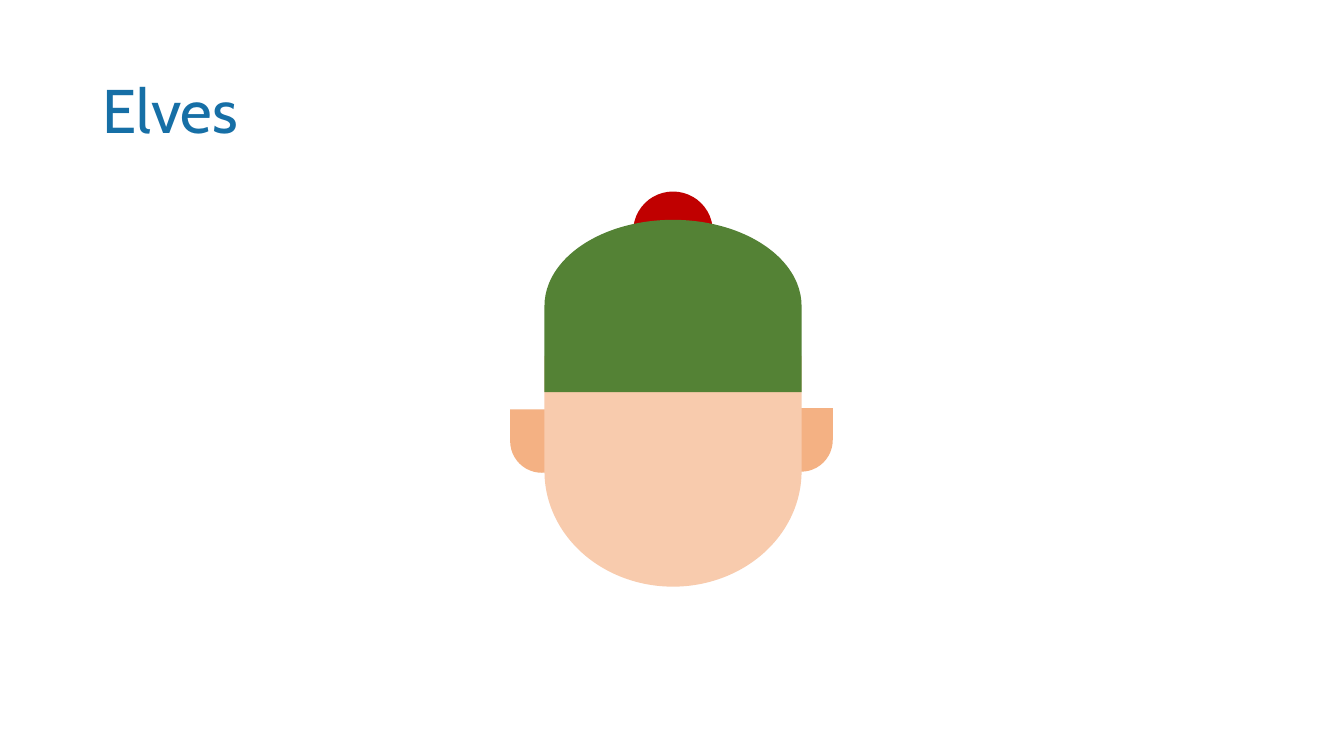
"""Build a slide titled Elves with an elf's head made of preset shapes."""
from dataclasses import dataclass

import pptx
import pptx.dml.color
import pptx.enum.lang
import pptx.enum.shapes
import pptx.enum.text
import pptx.util

Inches = pptx.util.Inches
Preset = pptx.enum.shapes.MSO_SHAPE

EAR_SIZE = 0.63
EAR_COLOR = "F4B183"
HEAD_WIDTH = 2.55


@dataclass(frozen=True)
class HeadPart:
    preset: Preset
    left: float
    top: float
    width: float
    height: float
    color: str
    rotation: float = 0


RIGHT_EAR = HeadPart(Preset.TEAR, 7.63, 4.05, EAR_SIZE, EAR_SIZE, EAR_COLOR)
LEFT_EAR = HeadPart(Preset.TEAR, 5.06, 4.06, EAR_SIZE, EAR_SIZE, EAR_COLOR, 270)
FACE = HeadPart(Preset.FLOWCHART_DELAY, 5.53, 3.4, 2.29, HEAD_WIDTH, "F8CBAD", 90)
BOBBLE = HeadPart(Preset.OVAL, 6.28, 1.9, 0.79, 0.79, "C00000")
HAT = HeadPart(Preset.FLOWCHART_DELAY, 5.82, 1.76, 1.71, HEAD_WIDTH, "548235", 270)


def rgb(color: str) -> pptx.dml.color.RGBColor:
    return pptx.dml.color.RGBColor.from_string(color)


def write_text(shape, text: str, *, font: str, size: float, color: str) -> None:
    frame = shape.text_frame
    frame.text = text
    frame.word_wrap = True
    frame.auto_size = pptx.enum.text.MSO_AUTO_SIZE.NONE
    frame.vertical_anchor = pptx.enum.text.MSO_ANCHOR.MIDDLE
    paragraph = frame.paragraphs[0]
    paragraph.alignment = pptx.enum.text.PP_ALIGN.LEFT
    paragraph.line_spacing = 0.9
    run = paragraph.runs[0]
    run.font.name = font
    run.font.size = pptx.util.Pt(size)
    run.font.color.rgb = rgb(color)
    run.font.language_id = pptx.enum.lang.MSO_LANGUAGE_ID.ENGLISH_US


def add_head_part(group, part: HeadPart) -> None:
    shape = group.shapes.add_shape(
        part.preset,
        Inches(part.left),
        Inches(part.top),
        Inches(part.width),
        Inches(part.height),
    )
    shape.rotation = part.rotation
    shape.shadow.inherit = False
    shape.fill.solid()
    shape.fill.fore_color.rgb = rgb(part.color)
    shape.line.fill.background()


def main() -> None:
    presentation = pptx.Presentation()
    presentation.slide_width = Inches(13.33)
    presentation.slide_height = Inches(7.5)
    slide = presentation.slides.add_slide(presentation.slide_layouts.get_by_name("Title Only"))

    title = slide.shapes.title
    title.left, title.top = Inches(0.92), Inches(0.4)
    title.width, title.height = Inches(11.5), Inches(1.45)
    write_text(title, "Elves", font="Cabin", size=44, color="166FA6")

    head = slide.shapes.add_group_shape()
    for part in (RIGHT_EAR, LEFT_EAR, FACE, BOBBLE, HAT):
        add_head_part(head, part)

    presentation.save("out.pptx")


if __name__ == "__main__":
    main()
